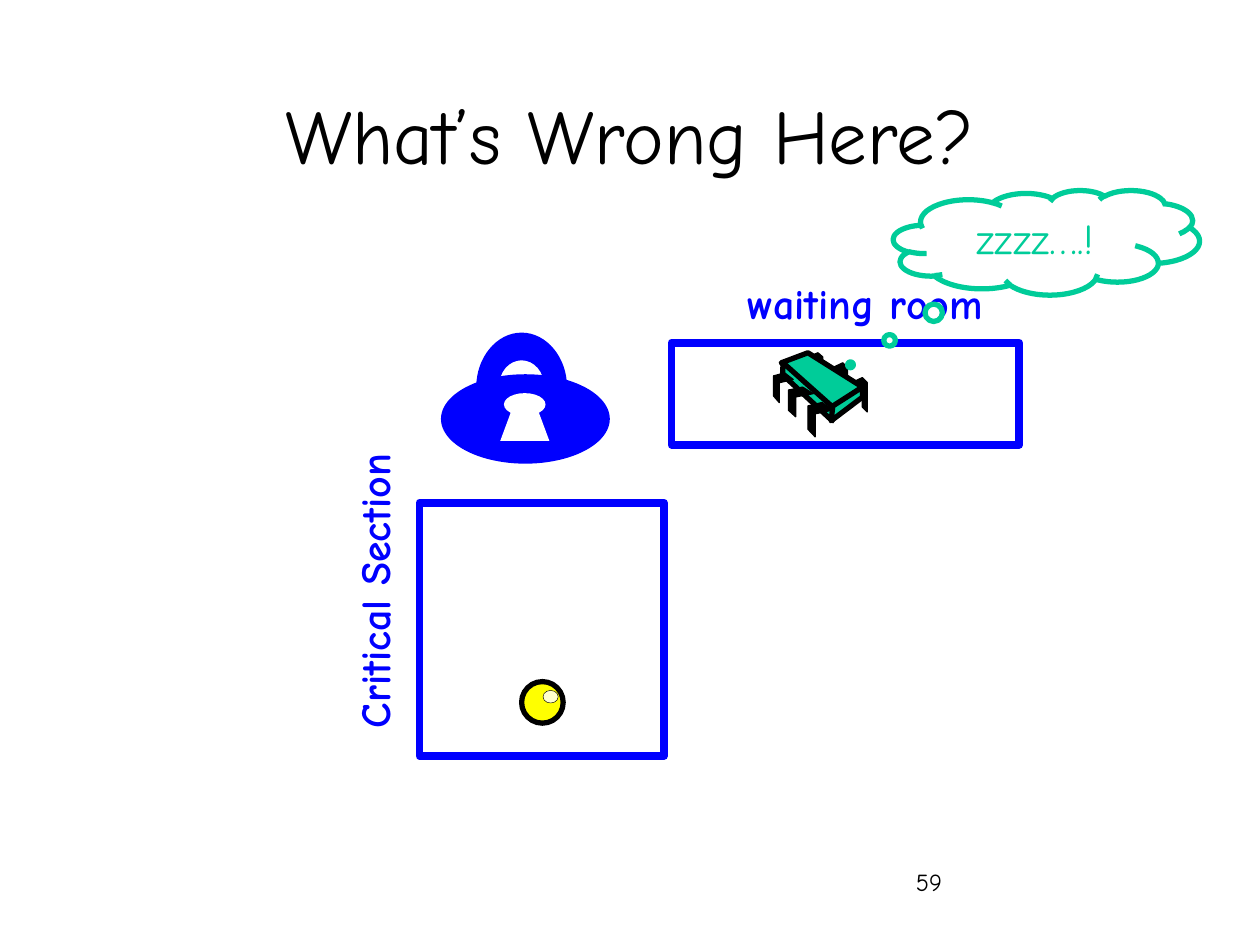
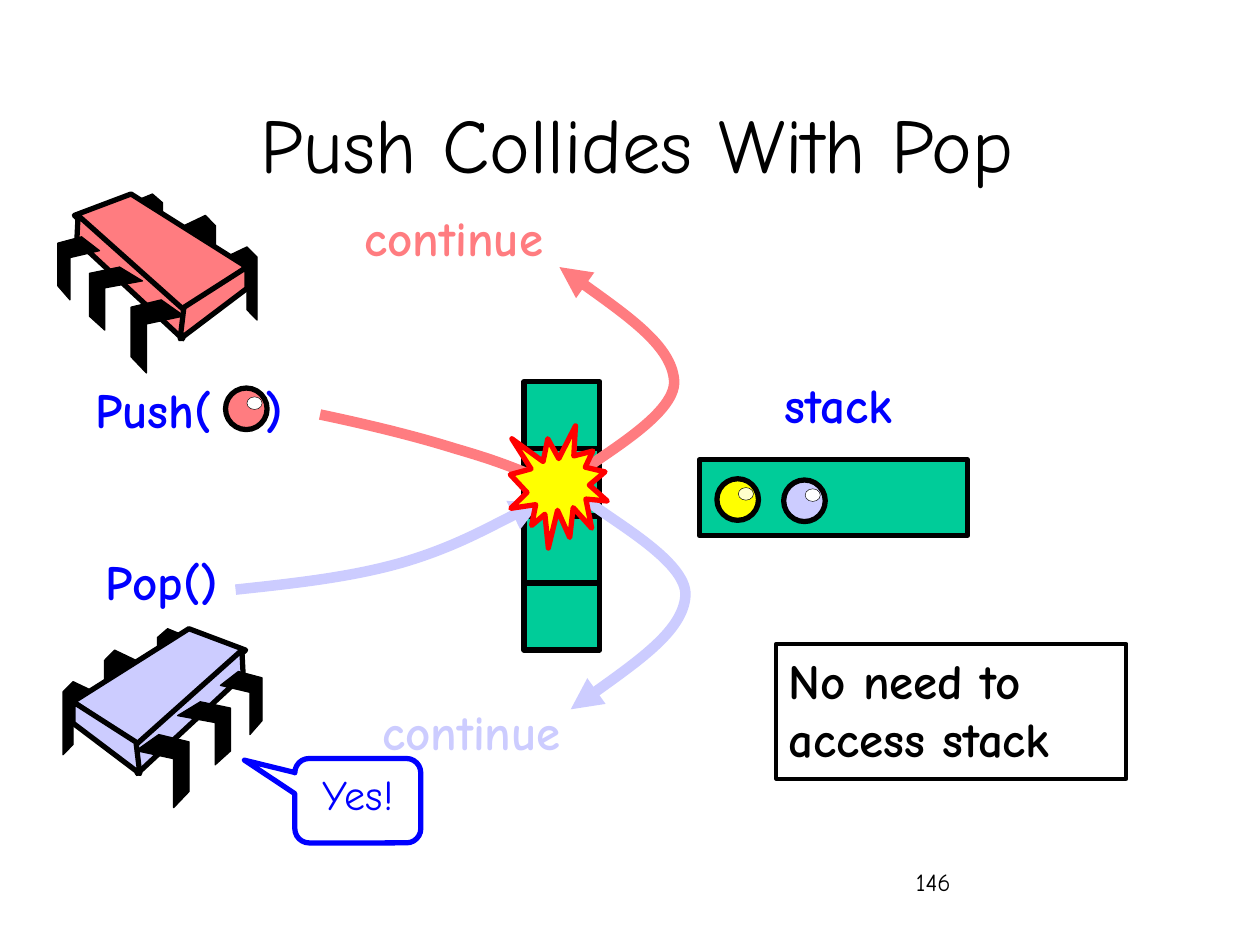
import lxml.etree
import pptx
import pptx.dml.color
import pptx.enum.shapes
import pptx.enum.text
import pptx.oxml.ns
import pptx.util

Inches = pptx.util.Inches
Pt = pptx.util.Pt
RGBColor = pptx.dml.color.RGBColor
ShapeType = pptx.enum.shapes.MSO_SHAPE
Align = pptx.enum.text.PP_ALIGN
Anchor = pptx.enum.text.MSO_ANCHOR
AutoSize = pptx.enum.text.MSO_AUTO_SIZE
qn = pptx.oxml.ns.qn

BLACK = RGBColor(0x00, 0x00, 0x00)
WHITE = RGBColor(0xFF, 0xFF, 0xFF)
BLUE = RGBColor(0x00, 0x00, 0xFF)
GREEN = RGBColor(0x00, 0xCC, 0x99)
CORAL = RGBColor(0xFF, 0x7C, 0x80)
LAVENDER = RGBColor(0xCC, 0xCC, 0xFF)
YELLOW = RGBColor(0xFF, 0xFF, 0x00)
CREAM = RGBColor(0xFF, 0xFF, 0xCC)
RED = RGBColor(0xFF, 0x00, 0x00)
FONT = "Comic Neue"

CHIP_WIDTH = 1.58
BACK_LEG = [(0, 0.14), (0.68, 0), (1, 0.14), (1, 1), (0.68, 0.86), (0.68, 0.29), (0, 0.43)]
FRONT_LEG = [(0.57, 0), (1, 0.22), (0.29, 0.33), (0.29, 1), (0, 0.78), (0, 0.1)]
BACK_LEG_BOXES = [(1.33, 0.42, 0.25, 0.58), (1, 0.17, 0.25, 0.58), (0.58, 0, 0.25, 0.5)]
FRONT_LEG_BOXES = [(0.58, 0.84, 0.42, 0.58), (0.25, 0.58, 0.42, 0.5), (0, 0.34, 0.33, 0.5)]
CHIP_FACES = [
    [(0.58, 0), (1.5, 0.58), (0.99, 0.93), (0.13, 0.17)],
    [(0.16, 0.17), (1, 0.92), (0.99, 1.15), (0.15, 0.37)],
    [(1.5, 0.58), (1.5, 0.75), (0.97, 1.15), (1, 0.9)],
]


def place_in_boxes(outline, boxes):
    return [
        [(left + x * width, top + y * height) for x, y in outline]
        for left, top, width, height in boxes
    ]


class Deck:
    def __init__(self):
        self.presentation = pptx.Presentation()
        self.presentation.slide_width = Inches(10)
        self.presentation.slide_height = Inches(7.5)
        self.slide = None

    def add_slide(self, title, number, title_left, title_top):
        layout = self.presentation.slide_layouts[5]
        self.slide = self.presentation.slides.add_slide(layout)
        shape = self.slide.shapes.title
        shape.left, shape.top = Inches(title_left), Inches(title_top)
        shape.width, shape.height = Inches(8.5), Inches(1.25)
        shape.text_frame.auto_size = AutoSize.NONE
        shape.text_frame.vertical_anchor = Anchor.MIDDLE
        self.set_text(shape, title, 44, BLACK, align=Align.CENTER)
        self.label(number, 7.17, 6.83, 2.08, 0.5, 14, BLACK, False, Align.LEFT, True)

    def set_text(self, shape, text, size, color, bold=False, align=Align.LEFT):
        shape.text_frame.text = text
        for paragraph in shape.text_frame.paragraphs:
            paragraph.alignment = align
            for run in paragraph.runs:
                run.font.name = FONT
                run.font.size = Pt(size)
                run.font.bold = bold
                run.font.color.rgb = color

    def label(self, text, left, top, width, height, size, color=BLUE,
              bold=True, align=Align.RIGHT, wrap=False):
        shape = self.slide.shapes.add_textbox(
            Inches(left), Inches(top), Inches(width), Inches(height))
        shape.text_frame.word_wrap = wrap
        shape.text_frame.auto_size = AutoSize.NONE if wrap else AutoSize.SHAPE_TO_FIT_TEXT
        self.set_text(shape, text, size, color, bold, align)
        return shape

    def paint(self, shape, fill, line, line_width):
        shape.shadow.inherit = False
        if fill is None:
            shape.fill.background()
        else:
            shape.fill.solid()
            shape.fill.fore_color.rgb = fill
        if line is None:
            shape.line.fill.background()
        else:
            shape.line.color.rgb = line
            shape.line.width = Pt(line_width)
        return shape

    def preset(self, kind, left, top, width, height, fill=None, line=None,
               line_width=3, adjustments=()):
        shape = self.slide.shapes.add_shape(
            kind, Inches(left), Inches(top), Inches(width), Inches(height))
        for index, value in enumerate(adjustments):
            shape.adjustments[index] = value
        shape.text_frame.vertical_anchor = Anchor.TOP
        return self.paint(shape, fill, line, line_width)

    def outline(self, start, steps, fill=None, line=None, line_width=3, close=True):
        points = [(Inches(x), Inches(y)) for step in steps for x, y in step]
        builder = self.slide.shapes.build_freeform(Inches(start[0]), Inches(start[1]))
        builder.add_line_segments(points, close=close)
        shape = builder.convert_to_shape()
        segments = iter(list(shape._element.iter(qn("a:lnTo"))))
        for step in steps:
            parts = [next(segments) for point in step]
            if len(parts) == 3:
                curve = lxml.etree.Element(qn("a:cubicBezTo"))
                parts[0].addprevious(curve)
                for part in parts:
                    curve.append(part[0])
                    part.getparent().remove(part)
        return self.paint(shape, fill, line, line_width)

    def polygon(self, points, fill, line=None, line_width=3):
        return self.outline(points[0], [[point] for point in points[1:]], fill, line, line_width)

    def curved_arrow(self, start, curves, color):
        shape = self.outline(start, curves, line=color, line_width=6, close=False)
        line = shape._element.spPr.find(qn("a:ln"))
        lxml.etree.SubElement(line, qn("a:tailEnd"), type="triangle")

    def connector(self, left, right, y):
        connector = self.slide.shapes.add_connector(
            pptx.enum.shapes.MSO_CONNECTOR.STRAIGHT,
            Inches(left), Inches(y), Inches(right), Inches(y))
        connector.line.color.rgb = BLACK
        connector.line.width = Pt(3)
        lxml.etree.SubElement(connector._element.spPr, qn("a:effectLst"))
        return connector

    def group(self, shapes):
        self.slide.shapes.add_group_shape(shapes=shapes)

    def ball(self, left, top, color, highlight=WHITE):
        self.group([
            self.preset(ShapeType.OVAL, left, top, 0.33, 0.33, color, BLACK),
            self.preset(ShapeType.OVAL, left + 0.17, top + 0.07, 0.12, 0.1,
                        highlight, BLACK, 0.25),
        ])

    def chip(self, left, top, color, scale=1, mirrored=False):
        def place(points):
            return [
                (left + scale * (CHIP_WIDTH - x if mirrored else x), top + scale * y)
                for x, y in points
            ]

        layers = [
            (place_in_boxes(BACK_LEG, BACK_LEG_BOXES), BLACK, 0.75),
            (CHIP_FACES, color, 3),
            (place_in_boxes(FRONT_LEG, FRONT_LEG_BOXES), BLACK, 0.75),
        ]
        self.group([
            self.polygon(place(points), fill, BLACK, line_width)
            for outlines, fill, line_width in layers
            for points in outlines
        ])

    def lock(self):
        shackle = [
            [(3.96, 2.95), (4.04, 2.86), (4.14, 2.86)],
            [(4.24, 2.86), (4.32, 2.95), (4.32, 3.07)],
            [(4.5, 3.07)],
            [(4.5, 2.84), (4.34, 2.64), (4.14, 2.64)],
            [(3.94, 2.64), (3.78, 2.84), (3.78, 3.07)],
        ]
        self.group([
            self.preset(ShapeType.OVAL, 3.5, 2.97, 1.34, 0.71, BLUE),
            self.preset(ShapeType.OVAL, 4, 3.12, 0.33, 0.18, WHITE),
            self.polygon([(3.97, 3.5), (4.07, 3.23), (4.26, 3.23), (4.36, 3.5)], WHITE),
            self.outline((3.96, 3.07), shackle, BLUE),
        ])

    def divided_stack(self, left, top, width, height, cells):
        stack = self.preset(ShapeType.RECTANGLE, left, top, width, height, GREEN, BLACK)
        for row in range(1, cells):
            divider = self.connector(left, left + width, top + height * row / cells)
            if row * 2 == cells:
                divider.begin_connect(stack, 1)
                divider.end_connect(stack, 3)


def build_waiting_room(deck):
    deck.add_slide("What’s Wrong Here?", "59", 0.75, 0.44)
    deck.lock()
    deck.preset(ShapeType.RECTANGLE, 3.33, 3.99, 1.94, 2.01, line=BLUE, line_width=4.5)
    section = deck.label("Critical Section", 1.62, 4.6, 2.69, 0.5, 24)
    section.rotation = 270
    deck.preset(ShapeType.RECTANGLE, 5.33, 2.72, 2.76, 0.81, line=BLUE, line_width=4.5)
    deck.label("waiting room", 5.68, 2.15, 2.22, 0.5, 24)
    deck.chip(6.14, 2.8, GREEN, scale=0.47)
    deck.ball(4.14, 5.41, YELLOW, CREAM)
    thought = deck.preset(ShapeType.CLOUD_CALLOUT, 7.09, 1.51, 2.43, 0.83,
                          WHITE, GREEN, adjustments=(-0.64, 1.17))
    deck.set_text(thought, "zzzz….!", 24, GREEN, align=Align.CENTER)


def build_collision(deck):
    deck.add_slide("Push Collides With Pop", "146", 0.81, 0.51)
    deck.preset(ShapeType.RECTANGLE, 5.55, 3.65, 2.13, 0.6, GREEN, BLACK)
    push = deck.label("Push(\t)", 0.66, 2.96, 1.81, 0.57, 28, align=Align.LEFT, wrap=True)
    properties = push.text_frame.paragraphs[0]._p.get_or_add_pPr()
    tabs = lxml.etree.SubElement(properties, qn("a:tabLst"))
    lxml.etree.SubElement(tabs, qn("a:tab"), pos=str(Inches(1.35)), algn="l")
    deck.label("Pop()", 0.72, 4.33, 1.11, 0.57, 28)
    deck.chip(0.46, 1.54, CORAL)
    deck.chip(0.5, 4.99, LAVENDER, mirrored=True)
    deck.ball(1.79, 3.08, CORAL)
    deck.label("stack", 5.98, 2.92, 1.2, 0.57, 28)
    deck.ball(5.69, 3.8, YELLOW, CREAM)
    deck.ball(6.22, 3.81, LAVENDER)
    deck.divided_stack(4.16, 3.03, 0.6, 2.13, 4)

    deck.curved_arrow((2.54, 3.29), [
        [(2.92, 3.37), (3.29, 3.46), (3.61, 3.56)],
        [(3.92, 3.65), (4.18, 3.75), (4.43, 3.86)],
    ], CORAL)
    deck.curved_arrow((1.87, 4.68), [
        [(2.34, 4.63), (2.8, 4.58), (3.21, 4.46)],
        [(3.61, 4.34), (4.12, 4.06), (4.3, 3.98)],
    ], LAVENDER)
    bounce = [
        [(-0.01, -0.03), (-0.02, -0.07), (0.13, 0.07)],
        [(0.28, 0.21), (0.93, 0.55), (0.91, 0.83)],
        [(0.89, 1.1), (0.44, 1.42), (0, 1.73)],
    ]
    for left, top, direction, color, label_left, label_top in [
        (4.53, 3.9, 1, LAVENDER, 2.83, 5.52),
        (4.44, 3.85, -1, CORAL, 2.69, 1.6),
    ]:
        curves = [[(left + x, top + direction * y) for x, y in curve] for curve in bounce]
        deck.curved_arrow((left, top), curves, color)
        deck.label("continue", label_left, label_top, 1.72, 0.57, 28, color)

    deck.preset(ShapeType.EXPLOSION1, 4.05, 3.38, 0.77, 0.97, YELLOW, RED)
    note = deck.preset(ShapeType.RECTANGLE, 6.16, 5.11, 2.78, 1.07, WHITE, BLACK, 2.25)
    note.text_frame.word_wrap = False
    note.text_frame.auto_size = AutoSize.SHAPE_TO_FIT_TEXT
    deck.set_text(note, "No need to\naccess stack", 28, BLACK, bold=True)
    answer = deck.preset(ShapeType.ROUNDED_RECTANGULAR_CALLOUT, 2.34, 6.02, 1, 0.67,
                         line=BLUE, adjustments=(-0.9, -0.48, 0.17))
    deck.set_text(answer, "Yes!", 24, BLUE, align=Align.CENTER)


def main():
    deck = Deck()
    build_waiting_room(deck)
    build_collision(deck)
    deck.presentation.save("out.pptx")


if __name__ == "__main__":
    main()
